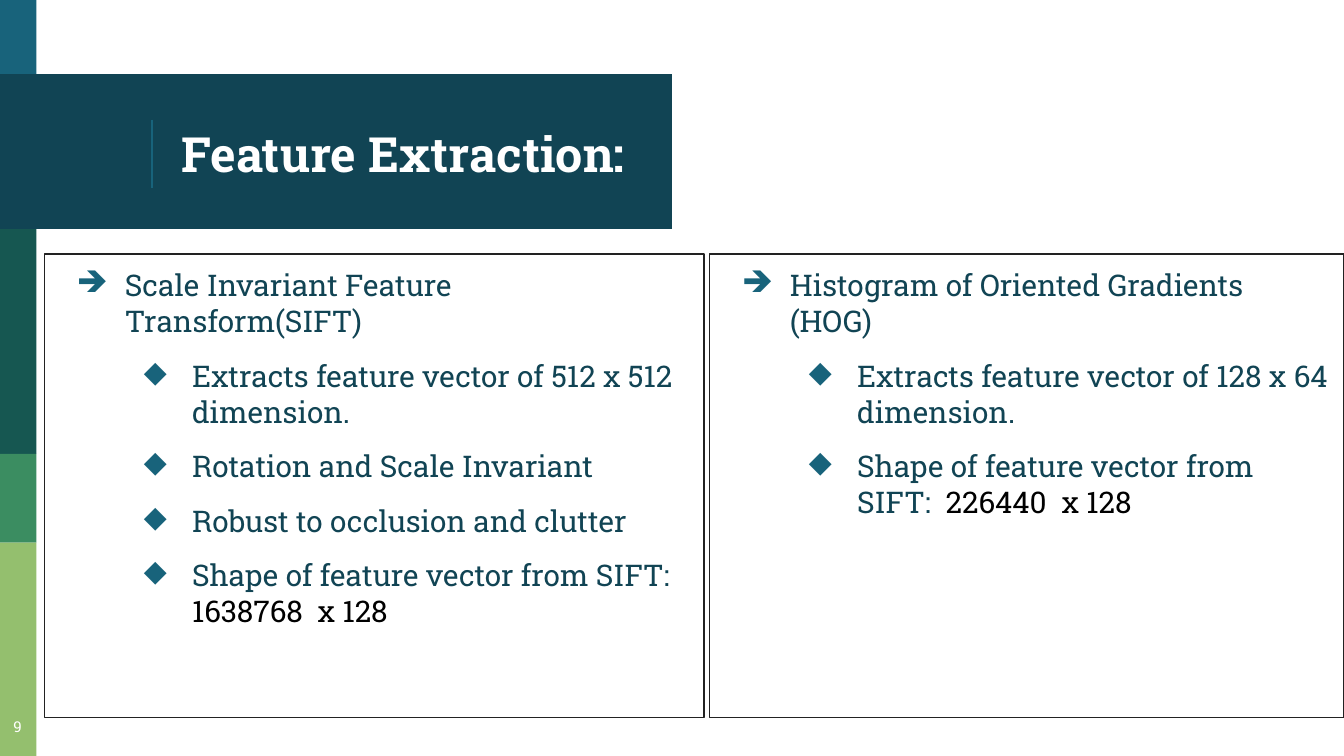
import pptx
import pptx.util
import pptx.dml.color
import pptx.enum.shapes
import pptx.enum.text
import pptx.oxml.ns
import lxml.etree

Cm = pptx.util.Cm
Pt = pptx.util.Pt
RGBColor = pptx.dml.color.RGBColor
qn = pptx.oxml.ns.qn

TEAL = RGBColor(0x18, 0x63, 0x7B)
NAVY = RGBColor(0x11, 0x44, 0x54)
PINE = RGBColor(0x16, 0x57, 0x51)
GREEN = RGBColor(0x3B, 0x8D, 0x61)
LIME = RGBColor(0x94, 0xBF, 0x6E)
INK = RGBColor(0x22, 0x22, 0x22)
BLACK = RGBColor(0, 0, 0)
WHITE = RGBColor(0xFF, 0xFF, 0xFF)

FONT = "Roboto Slab"
WIDTH, HEIGHT = 25.4, 14.29
STRIPE_WIDTH = 0.69
BANDS = [
    (0, STRIPE_WIDTH, TEAL),
    (1.4, WIDTH / 2, NAVY),
    (4.33, STRIPE_WIDTH, PINE),
    (8.58, STRIPE_WIDTH, GREEN),
    (10.26, STRIPE_WIDTH, LIME),
]

TITLE = "Feature Extraction:"
PAGE = "9"
METHODS = [
    {
        "left": 0.84, "width": 12.47,
        "heading": "Scale Invariant Feature Transform(SIFT)",
        "points": [
            ("Extracts feature vector of 512 x 512 dimension.", ""),
            ("Rotation and Scale Invariant", ""),
            ("Robust to occlusion and clutter", ""),
            ("Shape of feature vector from SIFT:  ", "1638768  x 128"),
        ],
    },
    {
        "left": 13.41, "width": 11.99,
        "heading": "Histogram of Oriented Gradients (HOG)",
        "points": [
            ("Extracts feature vector of 128 x 64 dimension.", ""),
            ("Shape of feature vector from SIFT:  ", "226440  x 128"),
        ],
    },
]
LEVELS = [
    {"symbol": "➔", "indent": 1.27, "before": 6},
    {"symbol": "◆", "indent": 2.54, "before": 10},
]
HANGING = 0.91

TITLE_FORMAT = {"name": FONT, "size": Pt(26), "bold": True}
BODY_FORMAT = {"name": FONT, "size": Pt(16)}
PAGE_FORMAT = {"name": FONT, "size": Pt(8)}
FRAME_FORMAT = {
    "word_wrap": True,
    "margin_left": Cm(0.25), "margin_right": Cm(0.25),
    "margin_top": Cm(0.25), "margin_bottom": Cm(0.25),
}


def set_all(target, values):
    for key, value in values.items():
        setattr(target, key, value)


def add_run(paragraph, text, values, color):
    run = paragraph.add_run()
    run.text = text
    set_all(run.font, values)
    run.font.color.rgb = color


def add_text_box(slide, left, top, width, height):
    box = slide.shapes.add_textbox(Cm(left), Cm(top), Cm(width), Cm(height))
    set_all(box.text_frame, FRAME_FORMAT)
    return box


def set_bullet(paragraph, level):
    style = LEVELS[level]
    paragraph.level = level
    paragraph.space_before = Pt(style["before"])
    properties = paragraph._p.get_or_add_pPr()
    properties.set("marL", str(Cm(style["indent"])))
    properties.set("indent", str(-Cm(HANGING)))
    bullet_color = lxml.etree.SubElement(properties, qn("a:buClr"))
    lxml.etree.SubElement(bullet_color, qn("a:srgbClr"), val=str(TEAL))
    lxml.etree.SubElement(properties, qn("a:buChar"), char=style["symbol"])


def add_bands(slide):
    bottoms = [band[0] for band in BANDS[1:]] + [HEIGHT]
    for (top, width, color), bottom in zip(BANDS, bottoms):
        band = slide.shapes.add_shape(
            pptx.enum.shapes.MSO_SHAPE.RECTANGLE,
            Cm(0), Cm(top), Cm(width), Cm(bottom - top))
        band.shadow.inherit = False
        band.fill.solid()
        band.fill.fore_color.rgb = color
        band.line.fill.background()


def add_title(slide):
    divider = slide.shapes.add_connector(
        pptx.enum.shapes.MSO_CONNECTOR.STRAIGHT,
        Cm(2.87), Cm(2.26), Cm(2.87), Cm(3.56))
    divider.line.color.rgb = TEAL
    divider.line.width = Pt(0.75)
    lxml.etree.SubElement(divider._element.spPr, qn("a:effectLst"))
    title = add_text_box(slide, 3.18, 1.47, 8.92, 2.84)
    title.text_frame.vertical_anchor = pptx.enum.text.MSO_ANCHOR.MIDDLE
    add_run(title.text_frame.paragraphs[0], TITLE, TITLE_FORMAT, WHITE)


def add_method(slide, method):
    panel = add_text_box(slide, method["left"], 4.8, method["width"], 8.76)
    panel.line.color.rgb = INK
    panel.line.width = Pt(0.75)
    heading = panel.text_frame.paragraphs[0]
    set_bullet(heading, 0)
    add_run(heading, method["heading"], BODY_FORMAT, NAVY)
    for text, shape_value in method["points"]:
        point = panel.text_frame.add_paragraph()
        set_bullet(point, 1)
        add_run(point, text, BODY_FORMAT, NAVY)
        if shape_value:
            add_run(point, shape_value, BODY_FORMAT, BLACK)


def add_page_number(slide):
    number = add_text_box(slide, -0.15, 13.39, 0.97, 0.89)
    paragraph = number.text_frame.paragraphs[0]
    paragraph.alignment = pptx.enum.text.PP_ALIGN.CENTER
    add_run(paragraph, PAGE, PAGE_FORMAT, WHITE)


def main():
    deck = pptx.Presentation()
    deck.slide_width, deck.slide_height = Cm(WIDTH), Cm(HEIGHT)
    slide = deck.slides.add_slide(deck.slide_layouts[6])
    add_bands(slide)
    add_title(slide)
    for method in METHODS:
        add_method(slide, method)
    add_page_number(slide)
    deck.save("out.pptx")


if __name__ == "__main__":
    main()
